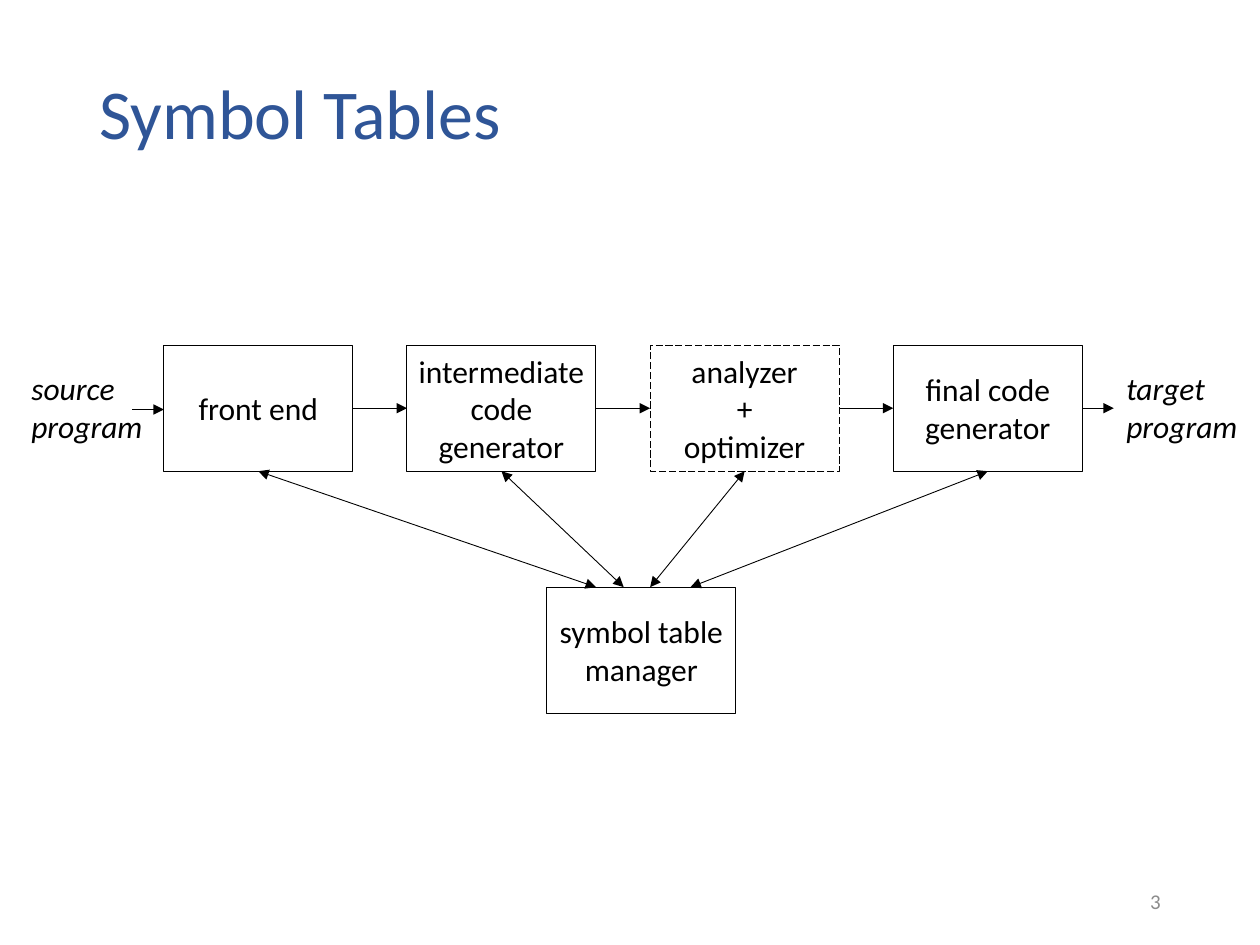
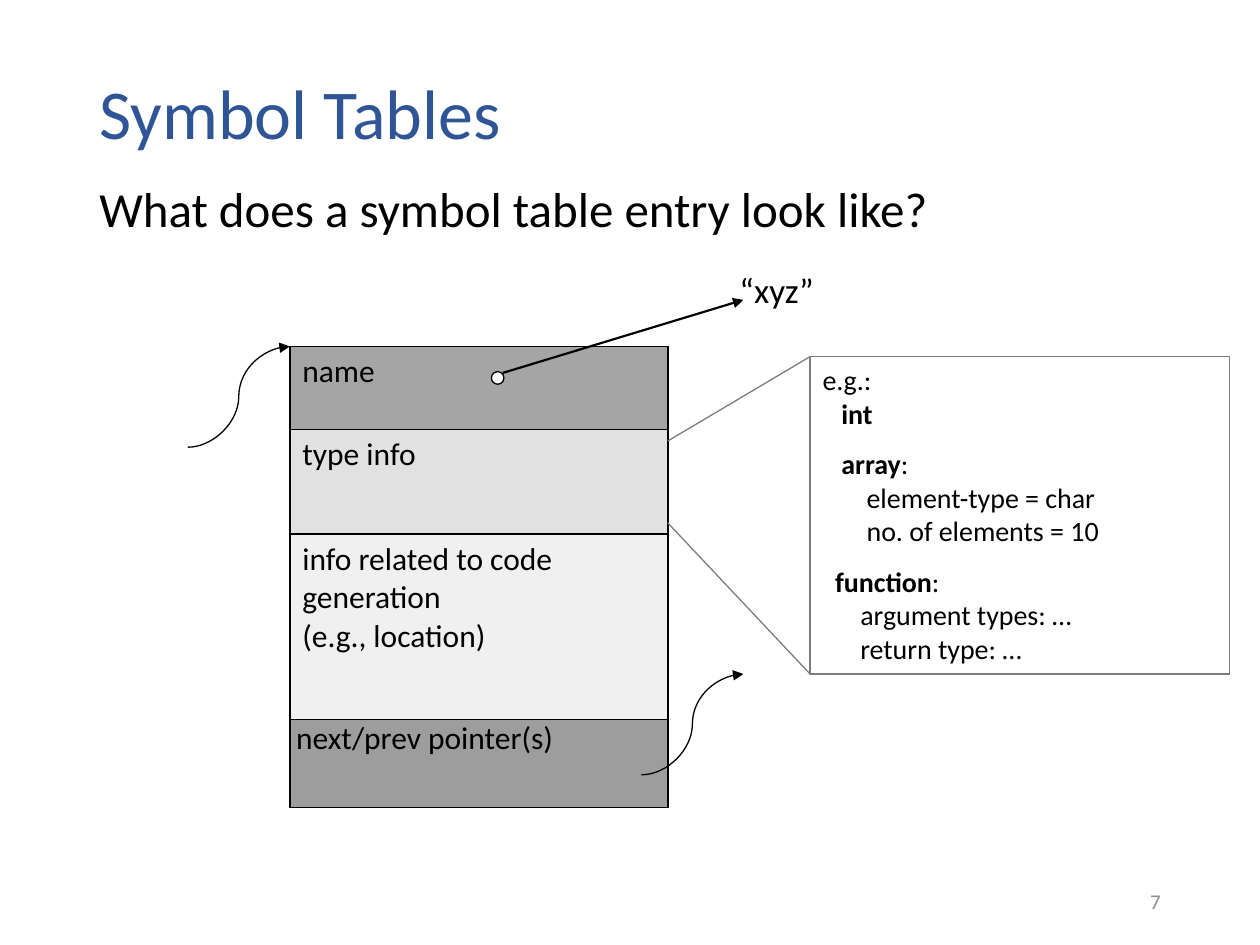
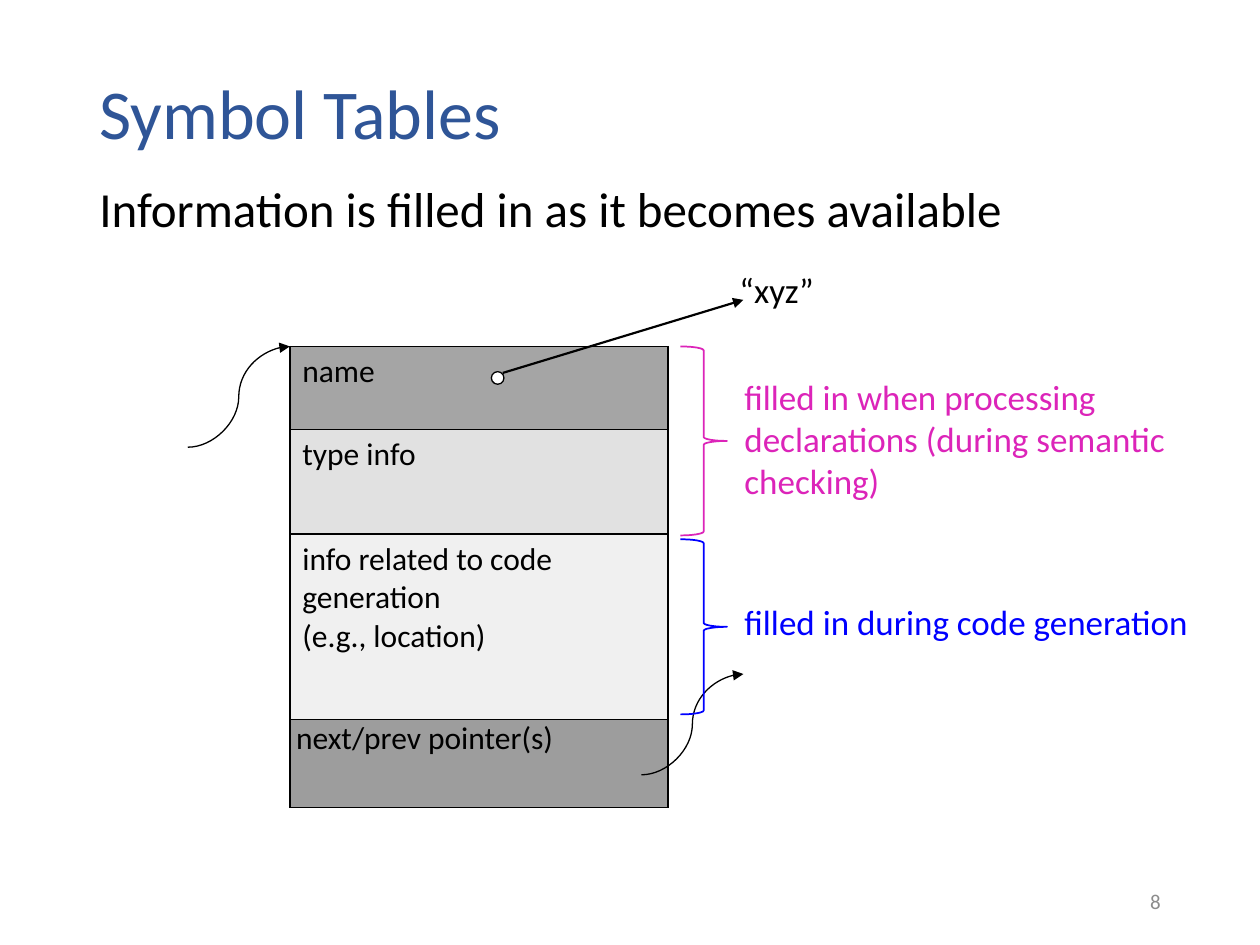
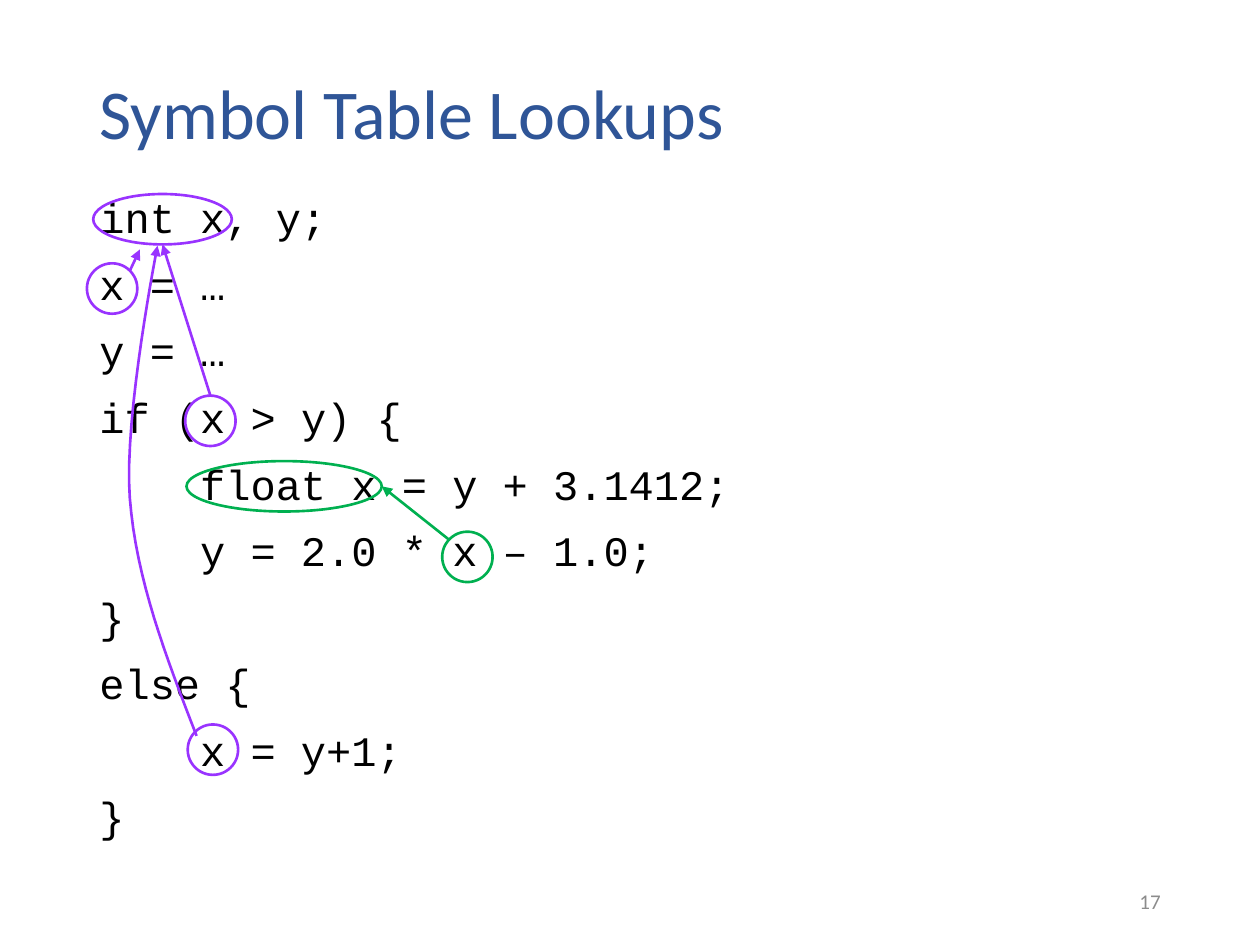
"""Build four slides about symbol tables and symbol lookups."""

import dataclasses
import typing

import lxml.etree
import pptx
import pptx.dml.color
import pptx.enum.dml
import pptx.enum.shapes
import pptx.enum.text
import pptx.oxml.ns
import pptx.util

Inches = pptx.util.Inches
Pt = pptx.util.Pt
RGBColor = pptx.dml.color.RGBColor
SHAPE = pptx.enum.shapes.MSO_SHAPE
CONNECTOR = pptx.enum.shapes.MSO_CONNECTOR
ALIGN = pptx.enum.text.PP_ALIGN
ANCHOR = pptx.enum.text.MSO_ANCHOR
FIT = pptx.enum.text.MSO_AUTO_SIZE
qn = pptx.oxml.ns.qn

BLACK = RGBColor(0x00, 0x00, 0x00)
WHITE = RGBColor(0xFF, 0xFF, 0xFF)
TITLE_BLUE = RGBColor(0x2F, 0x55, 0x97)
NUMBER_GRAY = RGBColor(0x8C, 0x8C, 0x8C)
CALLOUT_GRAY = RGBColor(0x7C, 0x7C, 0x7C)
PINK = RGBColor(0xDC, 0x24, 0xB9)
BLUE = RGBColor(0x00, 0x00, 0xFF)
PURPLE = RGBColor(0x99, 0x33, 0xFF)
GREEN = RGBColor(0x00, 0xB0, 0x50)

Point = tuple[float, float]
Box = tuple[float, float, float, float]


@dataclasses.dataclass(frozen=True)
class Style:
    """Font and paragraph look of a text."""

    size: float = 18
    color: RGBColor = BLACK
    font: str = "Calibri"
    italic: bool = False
    align: typing.Any = ALIGN.LEFT
    spacing: float = 1.0
    before: float = 0
    after: float = 0


@dataclasses.dataclass(frozen=True)
class Para:
    """A paragraph with an optional bold lead, an indent and extra space before."""

    text: str
    bold: str = ""
    indent: float = 0
    before: float = 0


@dataclasses.dataclass(frozen=True)
class Outline:
    """A preset shape with a line and an optional fill."""

    box: Box
    color: RGBColor = BLACK
    width: float = 0.5
    kind: typing.Any = SHAPE.RECTANGLE
    fill: RGBColor | None = None
    dash: typing.Any = None


@dataclasses.dataclass(frozen=True)
class Arrow:
    """A connector with optional arrowheads at its ends."""

    start: Point
    end: Point
    color: RGBColor = BLACK
    width: float = 0.5
    head: bool = False
    tail: bool = True
    kind: typing.Any = CONNECTOR.STRAIGHT


@dataclasses.dataclass(frozen=True)
class Field:
    """A row of the symbol table entry."""

    lines: tuple[str, ...]
    height: float
    fill: RGBColor
    margins: Box = (0.1, 0.05, 0.1, 0.05)


TITLE = Style(40, TITLE_BLUE, spacing=0.9)
BODY = Style(28, spacing=0.9, before=10, after=5)
CODE = Style(24, font="Courier New", spacing=0.8, before=10, after=5)
NUMBER = Style(12, NUMBER_GRAY, align=ALIGN.RIGHT)
BOX_LABEL = Style(align=ALIGN.CENTER)
CODE_INDENT = 0.8

STAGE_SIZE = (1.5, 1)
STAGE_LEFT, STAGE_TOP, STAGE_STEP = 1.3, 2.74, 1.93
STAGES = [
    ["front end"],
    ["intermediate code generator"],
    ["analyzer", "+", "optimizer"],
    ["final code generator"],
]
MANAGER = (4.34, 4.66, 1.5, 1)
MANAGER_PORTS = [4.73, 4.95, 5.16, 5.48]

ENTRY_LEFT, ENTRY_TOP, ENTRY_WIDTH = 2.3, 2.75, 3
FIELDS = [
    Field(("name",), 0.66, RGBColor(0xA5, 0xA5, 0xA5)),
    Field(("type info",), 0.83, RGBColor(0xE1, 0xE1, 0xE1)),
    Field(("info related to code generation", "(e.g., location)"), 1.47,
          RGBColor(0xF0, 0xF0, 0xF0)),
    Field(("next/prev pointer(s)",), 0.7, RGBColor(0x9D, 0x9D, 0x9D),
          (0.05, 0, 0, 0)),
]
TYPE_EXAMPLES = [
    Para("e.g.:"),
    Para("", "int", 0.15),
    Para(":", "array", 0.15, 9.6),
    Para("element-type = char", indent=0.35),
    Para("no. of elements = 10", indent=0.35),
    Para(":", "function", 0.1, 9.6),
    Para("argument types: …", indent=0.3),
    Para("return type: …", indent=0.3),
]
CODE_LINES = [
    Para("int x, y;"),
    Para("x = …"),
    Para("y = …"),
    Para("if (x > y) {"),
    Para("float x = y + 3.1412;", indent=CODE_INDENT),
    Para("y = 2.0 * x – 1.0;", indent=CODE_INDENT),
    Para("}"),
    Para("else {"),
    Para("x = y+1;", indent=CODE_INDENT),
    Para("}"),
]
DECLARATIONS = [((0.74, 1.54, 1.1, 0.4), PURPLE), ((1.48, 3.66, 1.55, 0.4), GREEN)]
USES = [((0.69, 2.09), PURPLE), ((1.49, 5.75), PURPLE),
        ((1.47, 3.14), PURPLE), ((3.51, 4.22), GREEN)]
LOOKUPS = [((1.03, 2.15), (1.11, 1.98), PURPLE),
           ((1.67, 3.14), (1.29, 1.94), PURPLE),
           ((3.56, 4.28), (3.03, 3.86), GREEN)]
ELSE_LOOKUP = [
    ((1.56, 5.84), (1.32, 5.22), (1.08, 4.6), (1.03, 3.95)),
    ((1.03, 3.95), (0.98, 3.31), (1.25, 1.95), (1.25, 1.95)),
]


def apply(target: typing.Any, values: dict[str, typing.Any]) -> None:
    """Set each named value on the target."""
    for name, value in values.items():
        setattr(target, name, value)


def inches(values: typing.Iterable[float]) -> list[int]:
    """Turn numbers into lengths."""
    return [Inches(value) for value in values]


def write(tf: typing.Any, paras: typing.Iterable[str | Para], style: Style) -> None:
    """Fill a text frame with styled paragraphs."""
    for i, item in enumerate(paras):
        para = Para(item) if isinstance(item, str) else item
        p = tf.add_paragraph() if i else tf.paragraphs[0]
        apply(p, {"alignment": style.align, "line_spacing": style.spacing,
                  "space_before": Pt(style.before + para.before),
                  "space_after": Pt(style.after)})
        if para.indent:
            p._p.get_or_add_pPr().set("marL", str(Inches(para.indent)))
        for text, bold in ((para.bold, True), (para.text, False)):
            if text:
                r = p.add_run()
                r.text = text
                apply(r.font, {"name": style.font, "size": Pt(style.size),
                               "bold": bold, "italic": style.italic})
                r.font.color.rgb = style.color


def add_text(s: typing.Any, box: Box, paras: typing.Iterable[str | Para],
             style: Style, **frame: typing.Any) -> None:
    """Add a text box."""
    tf = s.shapes.add_textbox(*inches(box)).text_frame
    apply(tf, {"word_wrap": True, **frame})
    write(tf, paras, style)


def add_label(s: typing.Any, box: Box, lines: list[str], style: Style) -> None:
    """Add an unwrapped label that fits its text."""
    add_text(s, box, lines, style, word_wrap=False, auto_size=FIT.SHAPE_TO_FIT_TEXT)


def set_line(line: typing.Any, color: RGBColor, width: float) -> None:
    """Set the colour and width of a line."""
    line.color.rgb = color
    line.width = Pt(width)


def add_ends(shape: typing.Any, head: bool, tail: bool) -> None:
    """Put triangles on the chosen ends of a line."""
    ln = shape.line._get_or_add_ln()
    for tag, wanted in (("a:headEnd", head), ("a:tailEnd", tail)):
        if wanted:
            lxml.etree.SubElement(ln, qn(tag), type="triangle")


def add_outline(s: typing.Any, outline: Outline) -> typing.Any:
    """Draw a preset shape."""
    sp = s.shapes.add_shape(outline.kind, *inches(outline.box))
    sp.shadow.inherit = False
    if outline.fill is None:
        sp.fill.background()
    else:
        sp.fill.solid()
        sp.fill.fore_color.rgb = outline.fill
    set_line(sp.line, outline.color, outline.width)
    if outline.dash is not None:
        sp.line.dash_style = outline.dash
    return sp


def add_arrow(s: typing.Any, arrow: Arrow) -> None:
    """Draw a connector."""
    cxn = s.shapes.add_connector(arrow.kind, *inches(arrow.start + arrow.end))
    set_line(cxn.line, arrow.color, arrow.width)
    add_ends(cxn, arrow.head, arrow.tail)
    lxml.etree.SubElement(cxn._element.spPr, qn("a:effectLst"))


def add_stage(s: typing.Any, outline: Outline, lines: list[str], side: float) -> None:
    """Draw a labelled compiler stage."""
    tf = add_outline(s, outline).text_frame
    apply(tf, {"word_wrap": True, "vertical_anchor": ANCHOR.MIDDLE,
               "margin_left": Inches(side), "margin_right": Inches(side)})
    write(tf, lines, BOX_LABEL)


def bezier(curve: tuple[Point, Point, Point, Point], t: float) -> Point:
    """Return the point of a cubic curve at t."""
    weights = ((1 - t) ** 3, 3 * t * (1 - t) ** 2, 3 * t * t * (1 - t), t ** 3)
    x, y = (sum(w * pt[axis] for w, pt in zip(weights, curve)) for axis in (0, 1))
    return x, y


def add_curve(s: typing.Any, curves: list, color: RGBColor, steps: int = 16) -> None:
    """Draw an open arrow along joined cubic curves."""
    points = [inches(bezier(c, i / steps)) for c in curves for i in range(1, steps + 1)]
    builder = s.shapes.build_freeform(*inches(curves[0][0]))
    builder.add_line_segments(points, close=False)
    sp = builder.convert_to_shape()
    sp.shadow.inherit = False
    sp.fill.background()
    set_line(sp.line, color, 1.5)
    add_ends(sp, False, True)


def add_borders(cell: typing.Any) -> None:
    """Give a cell thin black borders."""
    tcPr = cell._tc.get_or_add_tcPr()
    for side in "LRTB":
        ln = lxml.etree.SubElement(tcPr, qn(f"a:ln{side}"), w=str(Pt(1)))
        fill = lxml.etree.SubElement(ln, qn("a:solidFill"))
        lxml.etree.SubElement(fill, qn("a:srgbClr"), val=str(BLACK))


def add_entry(s: typing.Any) -> None:
    """Draw a symbol table entry with its pointers."""
    height = sum(field.height for field in FIELDS)
    box = (ENTRY_LEFT, ENTRY_TOP, ENTRY_WIDTH, height)
    table = s.shapes.add_table(len(FIELDS), 1, *inches(box)).table
    apply(table, {"first_row": False, "horz_banding": False})
    for i, field in enumerate(FIELDS):
        table.rows[i].height = Inches(field.height)
        cell = table.cell(i, 0)
        add_borders(cell)
        cell.fill.solid()
        cell.fill.fore_color.rgb = field.fill
        sides = ("margin_left", "margin_top", "margin_right", "margin_bottom")
        apply(cell, dict(zip(sides, inches(field.margins))))
        write(cell.text_frame, field.lines, Style())
    add_outline(s, Outline((3.9, 2.95, 0.1, 0.1), width=0.75, kind=SHAPE.OVAL, fill=WHITE))
    add_arrow(s, Arrow((3.99, 2.96), (5.9, 2.38), width=1.25))
    add_label(s, (5.77, 2.08, 0.81, 0.44), ["“xyz”"], Style(20))
    for x, y in ((5.09, 6.15), (1.49, 3.55)):
        add_arrow(s, Arrow((x, y), (x + 0.81, y - 0.8), width=0.75, kind=CONNECTOR.CURVE))


def add_slide(prs: typing.Any, title: str, number: int, question: str = "") -> typing.Any:
    """Add a slide with its title, number and optional lead text."""
    s = prs.slides.add_slide(prs.slide_layouts[6])
    add_text(s, (0.69, 0.4, 8.62, 1.05), [title], TITLE, vertical_anchor=ANCHOR.MIDDLE)
    if question:
        add_text(s, (0.69, 1.42, 9, 0.63), [question], BODY)
    add_text(s, (7.06, 6.95, 2.25, 0.4), [str(number)], NUMBER,
             vertical_anchor=ANCHOR.MIDDLE)
    return s


def build_pipeline(prs: typing.Any) -> None:
    """Show the compiler stages around the symbol table manager."""
    s = add_slide(prs, "Symbol Tables", 3)
    width, height = STAGE_SIZE
    middle, bottom = STAGE_TOP + height / 2, STAGE_TOP + height
    for i, (lines, port) in enumerate(zip(STAGES, MANAGER_PORTS)):
        left = STAGE_LEFT + i * STAGE_STEP
        dash = pptx.enum.dml.MSO_LINE.LONG_DASH if i == 2 else None
        add_stage(s, Outline((left, STAGE_TOP, width, height), dash=dash), lines,
                  0 if i == 1 else 0.1)
        gap = 0.25 if i == len(STAGES) - 1 else STAGE_STEP - width
        add_arrow(s, Arrow((left + width, middle), (left + width + gap, middle)))
        add_arrow(s, Arrow((left + width / 2, bottom), (port, MANAGER[1]), head=True))
    add_arrow(s, Arrow((1.05, 3.25), (STAGE_LEFT, 3.25)))
    add_stage(s, Outline(MANAGER), ["symbol table manager"], 0)
    for left, word in ((0.15, "source"), (8.84, "target")):
        add_label(s, (left, 2.88, 1.09, 0.71), [word, "program"], Style(italic=True))


def build_entry(prs: typing.Any) -> None:
    """Show an entry with examples of type information."""
    s = add_slide(prs, "Symbol Tables", 7, "What does a symbol table entry look like?")
    add_entry(s)
    callout = add_outline(s, Outline((6.43, 2.83, 3.33, 2.52), CALLOUT_GRAY, 0.75))
    apply(callout.text_frame, {"word_wrap": True, "vertical_anchor": ANCHOR.TOP})
    write(callout.text_frame, TYPE_EXAMPLES, Style(16))
    for start, end in ((3.5, 2.83), (4.15, 5.35)):
        add_arrow(s, Arrow((5.3, start), (6.43, end), CALLOUT_GRAY, 0.75, tail=False))


def build_filling(prs: typing.Any) -> None:
    """Show when each part of an entry is filled in."""
    s = add_slide(prs, "Symbol Tables", 8,
                  "Information is filled in as it becomes available")
    add_entry(s)
    declared = ["filled in when processing", "declarations (during semantic", "checking)"]
    generated = ["filled in during code generation"]
    for top, height, color, box, lines in (
        (2.75, 1.5, PINK, (5.81, 2.93, 3.94, 1.11), declared),
        (4.28, 1.39, BLUE, (5.81, 4.72, 4.02, 0.44), generated),
    ):
        add_outline(s, Outline((5.4, top, 0.37, height), color, 1, SHAPE.RIGHT_BRACE))
        add_label(s, box, lines, Style(20, color))


def build_lookups(prs: typing.Any) -> None:
    """Show which declaration each use of x refers to."""
    s = add_slide(prs, "Symbol Table Lookups", 17)
    add_text(s, (0.69, 1.55, 8.62, 5.21), CODE_LINES, CODE)
    circles = [((*corner, 0.4, 0.4), color) for corner, color in USES]
    for box, color in circles + DECLARATIONS:
        add_outline(s, Outline(box, color, 1.5, SHAPE.OVAL))
    for start, end, color in LOOKUPS:
        add_arrow(s, Arrow(start, end, color, 1.5))
    add_curve(s, ELSE_LOOKUP, PURPLE)


def main() -> None:
    """Build and save the presentation."""
    prs = pptx.Presentation()
    apply(prs, {"slide_width": Inches(10), "slide_height": Inches(7.5)})
    for build in (build_pipeline, build_entry, build_filling, build_lookups):
        build(prs)
    prs.save("out.pptx")


if __name__ == "__main__":
    main()
